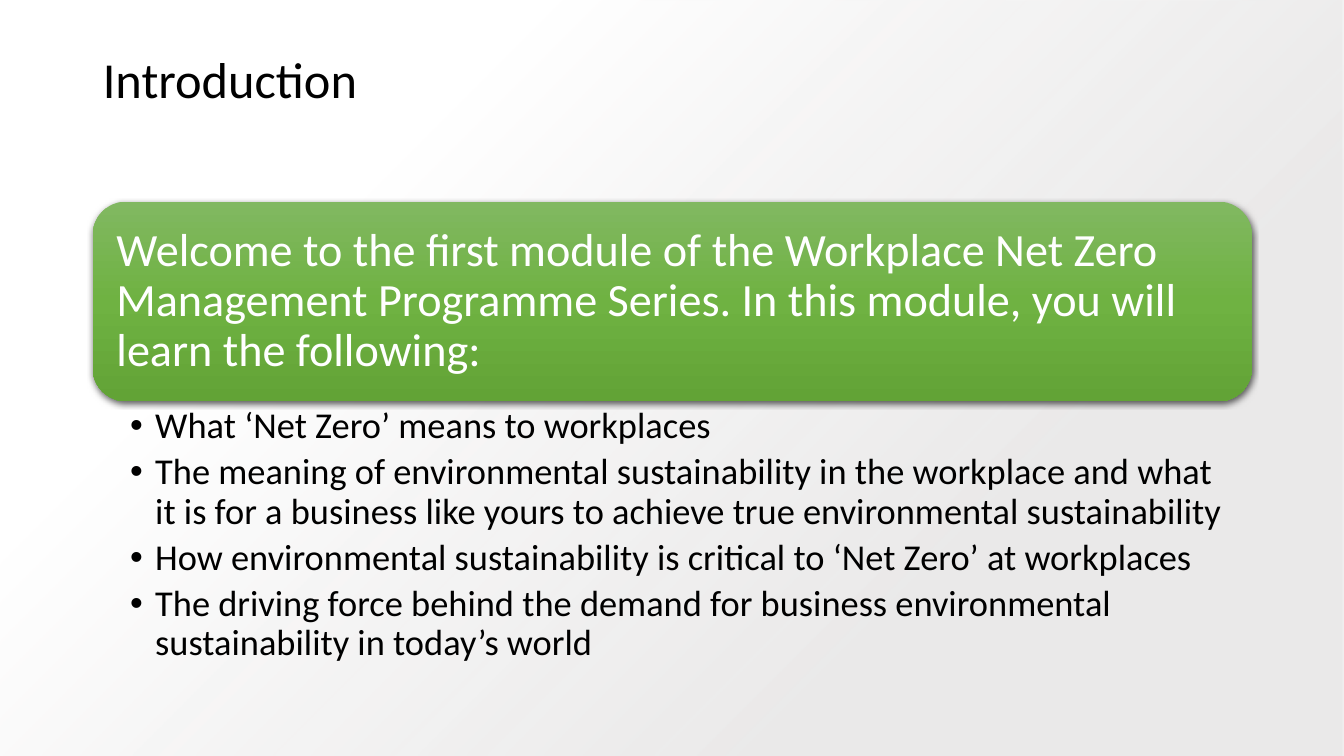
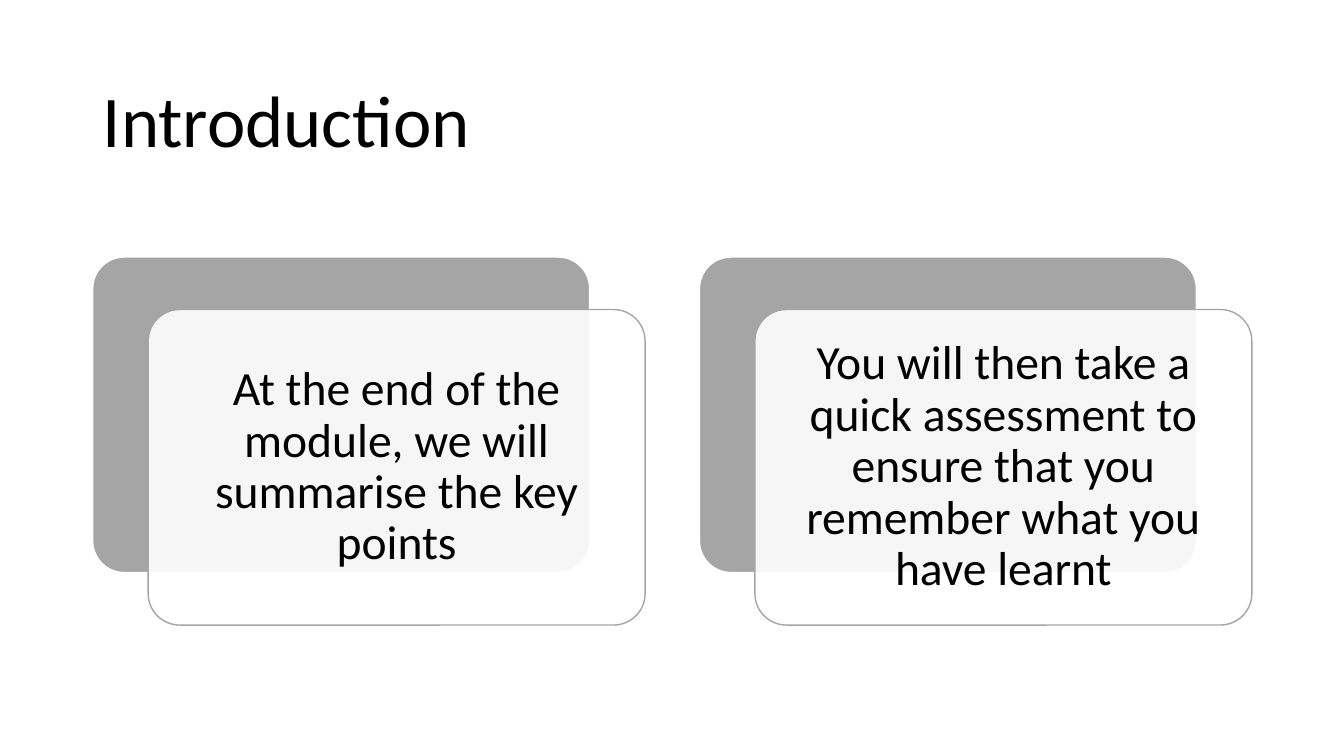
from dataclasses import dataclass

from lxml.etree import SubElement
from pptx import Presentation
from pptx.dml.color import RGBColor
from pptx.enum.shapes import MSO_SHAPE
from pptx.enum.text import MSO_ANCHOR, MSO_AUTO_SIZE, PP_ALIGN
from pptx.oxml import parse_xml
from pptx.oxml.ns import nsdecls, qn
from pptx.util import Pt


@dataclass(frozen=True)
class Theme:
    """Hold the colours, type sizes and measures that the slides share."""
    font: str = "Calibri"
    black: str = "000000"
    white: str = "FFFFFF"
    grey: str = "A5A5A5"
    mist: str = "E7E6E6"
    greens: tuple = ("81B861", "6FB242", "62A336")
    title: int = 52
    small: int = 36
    lead: int = 33
    card: int = 34
    bullet: int = 26
    wide: int = 960
    high: int = 540
    left: float = 66.24
    span: int = 828
    pad: tuple = (10, 10, 10, 10)


THEME = Theme()
LEAD = ("Welcome to the first module of the Workplace Net Zero Management "
        "Programme Series. In this module, you will learn the following:")
POINTS = [
    "What ‘Net Zero’ means to workplaces",
    "The meaning of environmental sustainability in the workplace and what "
    "it is for a business like yours to achieve true environmental sustainability",
    "How environmental sustainability is critical to ‘Net Zero’ at workplaces",
    "The driving force behind the demand for business environmental "
    "sustainability in today’s world",
]
CARDS = [
    "At the end of the module, we will summarise the key points",
    "You will then take a quick assessment to ensure that you remember "
    "what you have learnt",
]


def apply(item, values):
    """Set each named value on an item."""
    for name, value in values.items():
        setattr(item, name, value)


def place(item, box):
    """Move and size an item by left, top, width and height."""
    apply(item, dict(zip(("left", "top", "width", "height"), map(Pt, box))))


def write(item, lines, size, color=THEME.black, pad=(7.2, 3.6, 7.2, 3.6),
          anchor=MSO_ANCHOR.MIDDLE, align=PP_ALIGN.LEFT, after=0):
    """Fill an item with formatted paragraphs."""
    frame = item.text_frame
    frame.text = "\n".join(lines)
    sides = ("margin_left", "margin_top", "margin_right", "margin_bottom")
    apply(frame, {"word_wrap": True, "auto_size": MSO_AUTO_SIZE.NONE,
                  "vertical_anchor": anchor, **dict(zip(sides, map(Pt, pad)))})
    for para in frame.paragraphs:
        apply(para, {"alignment": align, "line_spacing": 0.9,
                     "space_before": Pt(0), "space_after": Pt(after)})
        for run in para.runs:
            apply(run.font, {"name": THEME.font, "size": Pt(size)})
            run.font.color.rgb = RGBColor.from_string(color)


def start(deck, top, high, size, **style):
    """Add a title-only slide with its title set."""
    slide = deck.slides.add_slide(deck.slide_layouts[5])
    title = slide.shapes.title
    place(title, (THEME.left, top, THEME.span, high))
    write(title, ["Introduction"], size, **style)
    return slide


def block(slide, kind, box, fill, line=None, alpha=100, adj=None):
    """Add a flat preset shape."""
    shape = slide.shapes.add_shape(kind, *map(Pt, box))
    shape.shadow.inherit = False
    shape.fill.solid()
    shape.fill.fore_color.rgb = RGBColor.from_string(fill)
    if alpha < 100:
        color = shape.fill._xPr.find(qn("a:solidFill"))[0]
        SubElement(color, qn("a:alpha"), val=str(alpha * 1000))
    if line:
        shape.line.color.rgb = RGBColor.from_string(line)
        shape.line.width = Pt(1)
    else:
        shape.line.fill.background()
    if adj:
        shape.adjustments[0] = adj
    return shape


def blend(shape, stops, shade):
    """Swap a solid fill for a gradient of (position, colour, alpha) stops."""
    marks = "".join(
        f'<a:gs pos="{pos * 1000}"><a:srgbClr val="{color}">'
        f'<a:alpha val="{alpha * 1000}"/></a:srgbClr></a:gs>'
        for pos, color, alpha in stops)
    props = shape._element.spPr
    fill = parse_xml(f'<a:gradFill {nsdecls("a")} rotWithShape="1">'
                     f'<a:gsLst>{marks}</a:gsLst>{shade}</a:gradFill>')
    props.replace(props.find(qn("a:solidFill")), fill)


def shade(shape):
    """Give a shape a soft shadow below it."""
    glow = SubElement(shape._element.spPr.find(qn("a:effectLst")),
                      qn("a:outerShdw"), blurRad=str(Pt(4.5)),
                      dist=str(Pt(1.5)), dir="5400000", rotWithShape="0")
    color = SubElement(glow, qn("a:srgbClr"), val=THEME.black)
    SubElement(color, qn("a:alpha"), val="63000")


def wash(slide):
    """Cover the slide with a pale gradient behind everything else."""
    shape = block(slide, MSO_SHAPE.RECTANGLE, (0, 0, THEME.wide, THEME.high),
                  THEME.white)
    blend(shape, [(28, THEME.mist, 84), (74, THEME.white, 100)],
          '<a:path path="circle"><a:fillToRect l="100000" t="100000"/></a:path>')
    slide.shapes._spTree.insert(2, shape._element)


def panel(slide, text, box):
    """Add the green panel with the lead text."""
    shape = block(slide, MSO_SHAPE.ROUNDED_RECTANGLE, box, THEME.greens[1])
    blend(shape, zip((0, 50, 100), THEME.greens, (100, 100, 100)),
          '<a:lin ang="5400000" scaled="0"/>')
    shade(shape)
    write(shape, [text], THEME.lead, THEME.white, THEME.pad)


def points(slide, lines, box):
    """Add a bulleted list."""
    item = slide.shapes.add_textbox(*map(Pt, box))
    write(item, lines, THEME.bullet, pad=(26.64, 3.6, 18.72, 3.6),
          anchor=MSO_ANCHOR.TOP, after=5)
    for para in item.text_frame.paragraphs:
        props = para._p.get_or_add_pPr()
        props.set("marL", str(Pt(18)))
        props.set("indent", str(Pt(-18)))
        SubElement(props, qn("a:buFont"), typeface="Arial")
        SubElement(props, qn("a:buChar"), char="•")


def cards(slide, texts, top=183.6, wide=355, high=225.4, shift=(39.6, 37.5)):
    """Add a row of cards, each lying over a grey plate."""
    kind = MSO_SHAPE.ROUNDED_RECTANGLE
    pitch = (THEME.span - wide - shift[0]) / (len(texts) - 1)
    for num, text in enumerate(texts):
        left = THEME.left + num * pitch
        block(slide, kind, (left, top, wide, high), THEME.grey, THEME.white,
              adj=0.1)
        card = block(slide, kind,
                     (left + shift[0], top + shift[1], wide, high),
                     THEME.white, THEME.grey, 90, 0.1)
        write(card, [text], THEME.card, pad=THEME.pad, align=PP_ALIGN.CENTER)


def main():
    """Build and save both slides."""
    deck = Presentation()
    apply(deck, {"slide_width": Pt(THEME.wide), "slide_height": Pt(THEME.high)})
    first = start(deck, 28.8, 104.4, THEME.small, anchor=MSO_ANCHOR.TOP,
                  pad=(7.2, 10.5, 7.2, 3.6))
    wash(first)
    panel(first, LEAD, (THEME.left, 144, THEME.span, 142.6))
    points(first, POINTS, (THEME.left, 287.3, THEME.span, 198.7))
    second = start(deck, 43.9, 89.3, THEME.title)
    cards(second, CARDS)
    deck.save("out.pptx")


if __name__ == "__main__":
    main()
